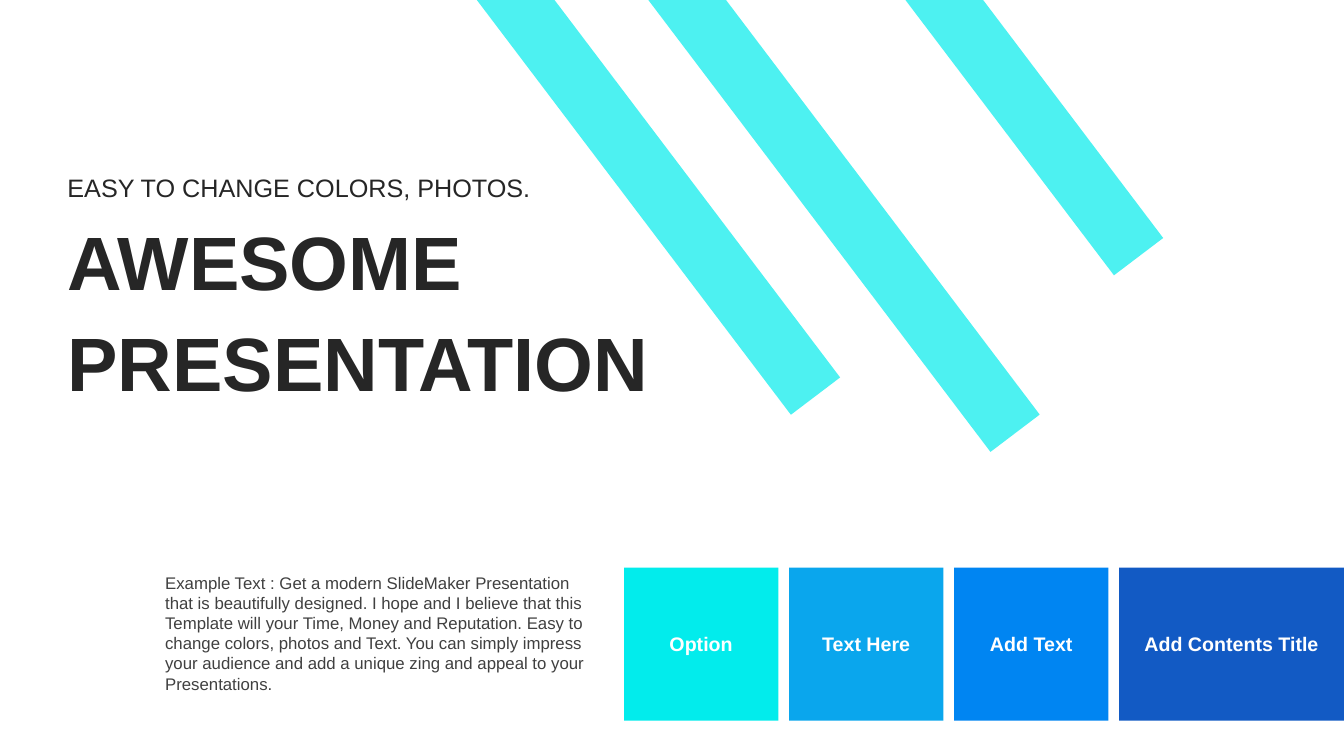
from dataclasses import dataclass

from lxml import etree
from pptx import Presentation
from pptx import util as u
from pptx.dml.color import RGBColor
from pptx.enum import shapes, text
from pptx.oxml.ns import qn


@dataclass(frozen=True)
class Theme:
    font: str = "Arial"
    heading: str = "262626"
    body: str = "404040"
    label: str = "FFFFFF"
    band: str = "02ECEC"
    tiles: tuple = ("02ECEC", "0AA6ED", "0085F2", "125AC4")
    title_size: int = 54
    subtitle_size: int = 18
    label_size: int = 14
    body_size: int = 12
    band_opacity: int = 70


class Cover:
    """Draws on one slide; lengths are percentages of its width and height."""

    def __init__(self, presentation, theme):
        self.theme = theme
        self.width = presentation.slide_width
        self.height = presentation.slide_height
        self.slide = presentation.slides.add_slide(presentation.slide_layouts[6])

    def point(self, x, y):
        return u.Emu(round(self.width * x / 100)), u.Emu(round(self.height * y / 100))

    def box(self, left, top, width, height):
        return *self.point(left, top), *self.point(width, height)

    def set_text(self, frame, words, size, color, bold=False, align=text.PP_ALIGN.LEFT):
        frame.word_wrap = True
        paragraph = frame.paragraphs[0]
        paragraph.text = words
        paragraph.alignment = align
        font = paragraph.font
        font.name, font.size, font.bold = self.theme.font, u.Pt(size), bold
        font.color.rgb = RGBColor.from_string(color)

    def paint(self, shape, color):
        shape.shadow.inherit = False
        shape.fill.solid()
        shape.fill.fore_color.rgb = RGBColor.from_string(color)
        shape.line.fill.background()

    def text_box(self, words, place, size, color, bold=False, anchor=text.MSO_ANCHOR.TOP):
        frame = self.slide.shapes.add_textbox(*self.box(*place)).text_frame
        self.set_text(frame, words, size, color, bold)
        frame.vertical_anchor = anchor
        frame.auto_size = text.MSO_AUTO_SIZE.SHAPE_TO_FIT_TEXT

    def tile(self, label, place, color):
        shape = self.slide.shapes.add_shape(shapes.MSO_SHAPE.RECTANGLE, *self.box(*place))
        self.paint(shape, color)
        shape.text_frame.vertical_anchor = text.MSO_ANCHOR.MIDDLE
        self.set_text(shape.text_frame, label, self.theme.label_size, self.theme.label,
                      bold=True, align=text.PP_ALIGN.CENTER)

    def band(self, left, run):
        """Slanted band from the top edge; run is how far its right side travels across."""
        thickness, slope = 5.78, 2.35
        right = left + thickness
        tip_x, tip_y = right + run, run * slope
        corners = [(right, 0), (tip_x, tip_y), (tip_x - 3.66, tip_y + 4.93)]
        builder = self.slide.shapes.build_freeform(*self.point(left, 0))
        builder.add_line_segments([self.point(*corner) for corner in corners], close=True)
        shape = builder.convert_to_shape()
        self.paint(shape, self.theme.band)
        color = shape.element.spPr.find(qn("a:solidFill"))[0]
        etree.SubElement(color, qn("a:alpha"), val=str(self.theme.band_opacity * 1000))


def main():
    presentation = Presentation()
    presentation.slide_width, presentation.slide_height = u.Inches(13.33), u.Inches(7.5)
    theme = Theme()
    cover = Cover(presentation, theme)

    margin, heading_width, lower_top = 4.28, 48.45, 75.07
    for row, word in enumerate(["AWESOME", "PRESENTATION"]):
        cover.text_box(word, (margin, 27.73 + 13.37 * row, heading_width, 13.47),
                       theme.title_size, theme.heading, bold=True,
                       anchor=text.MSO_ANCHOR.MIDDLE)
    cover.text_box("EASY TO CHANGE COLORS, PHOTOS.", (margin, 22.13, heading_width, 5.33),
                   theme.subtitle_size, theme.heading)
    cover.text_box(
        "Example Text : Get a modern SlideMaker Presentation that is beautifully designed. "
        "I hope and I believe that this Template will your Time, Money and Reputation. "
        "Easy to change colors, photos and Text. You can simply impress your audience "
        "and add a unique zing and appeal to your Presentations.",
        (11.55, lower_top, 33.6, 17.47), theme.body_size, theme.body)

    labels = ["Option", "Text Here", "Add Text", "Add Contents Title"]
    first_tile, pitch, tile_width = 46.43, 12.28, 11.48
    for column, (label, color) in enumerate(zip(labels, theme.tiles)):
        left = first_tile + pitch * column
        is_last = column == len(labels) - 1
        width = 100 - left if is_last else tile_width
        cover.tile(label, (left, lower_top, width, 20.27), color)

    for left, run in [(67.37, 13.4), (35.48, 21.25), (48.24, 23.34)]:
        cover.band(left, run)

    presentation.save("out.pptx")


if __name__ == "__main__":
    main()
